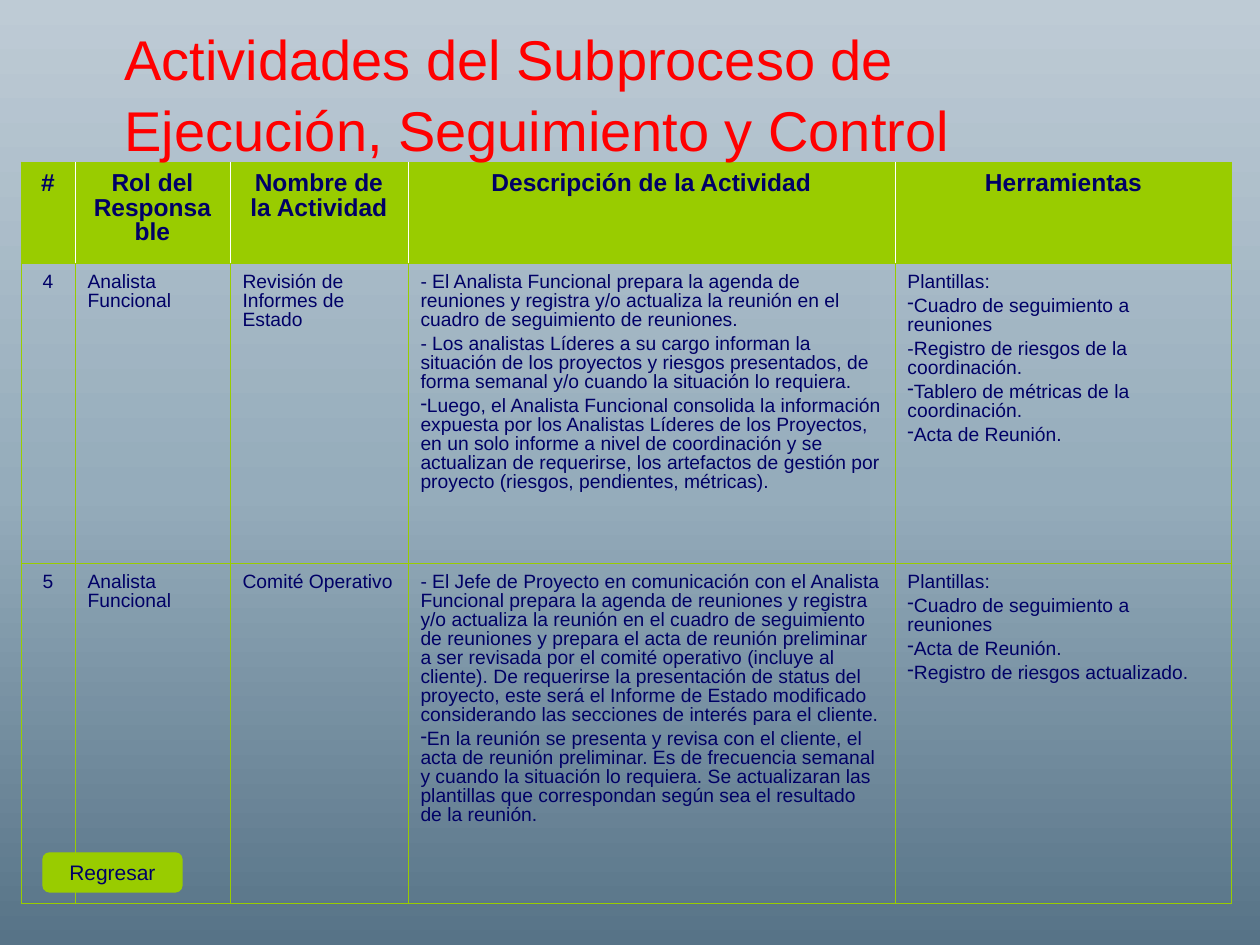
import copy

import pptx
import pptx.dml.color
import pptx.enum.shapes
import pptx.enum.text
import pptx.oxml
import pptx.oxml.ns
import pptx.util
from lxml import etree

SCALE = 914400 / 126
LIME, NAVY, RED, WHITE = "99CC00", "000066", "FF0000", "FFFFFF"
CENTER = pptx.enum.text.PP_ALIGN.CENTER
LEFT = pptx.enum.text.PP_ALIGN.LEFT


def px(n):
    return pptx.util.Emu(round(n * SCALE))


def rgb(code):
    return pptx.dml.color.RGBColor.from_string(code)


def add(parent, tag, **attrs):
    return etree.SubElement(parent, pptx.oxml.ns.qn(tag), attrs)


class Deck:
    face = "Arial"

    def __init__(self, wide, high):
        self.prs = pptx.Presentation()
        self.prs.slide_width, self.prs.slide_height = px(wide), px(high)
        self.slide = self.prs.slides.add_slide(self.prs.slide_layouts[6])

    def backdrop(self, stops):
        fill = self.slide.background.fill
        fill.gradient()
        fill.gradient_angle = 90
        first = fill.gradient_stops[0]._gs
        first.addnext(copy.deepcopy(first))
        for stop, (pos, code) in zip(fill.gradient_stops, stops):
            stop.position, stop.color.rgb = pos, rgb(code)

    def style(self, para, size, color, align=LEFT, bold=False):
        para.alignment = align
        font = para.font
        font.name, font.size, font.bold = self.face, pptx.util.Pt(size), bold
        font.color.rgb = rgb(color)

    def text(self, box, words, size, color):
        shape = self.slide.shapes.add_textbox(*map(px, box))
        shape.text_frame.word_wrap = True
        para = shape.text_frame.paragraphs[0]
        para.text, para.line_spacing = words, 1.06
        self.style(para, size, color)

    def button(self, box, words, size):
        kind = pptx.enum.shapes.MSO_SHAPE.FLOWCHART_ALTERNATE_PROCESS
        shape = self.slide.shapes.add_shape(kind, *map(px, box))
        shape.shadow.inherit = False
        shape.fill.solid()
        shape.fill.fore_color.rgb = shape.line.color.rgb = rgb(LIME)
        shape.line.width = pptx.util.Pt(0.75)
        frame = shape.text_frame
        frame.word_wrap = False
        frame.vertical_anchor = pptx.enum.text.MSO_ANCHOR.MIDDLE
        frame.paragraphs[0].text = words
        self.style(frame.paragraphs[0], size, NAVY, CENTER)

    def table(self, left, top, cols, rows, data):
        grid = self.slide.shapes.add_table(
            len(rows), len(cols), px(left), px(top),
            px(sum(cols)), px(sum(rows))).table
        grid.first_row = grid.horz_banding = False
        for col, wide in zip(grid.columns, cols):
            col.width = px(wide)
        for row, high in zip(grid.rows, rows):
            row.height = px(high)
        for r, line in enumerate(data):
            for c, items in enumerate(line):
                cell = grid.cell(r, c)
                self.cell(cell, items, r == 0, r == 0 or c == 0)
                inner = (WHITE, 0.34) if r == 0 else (LIME, 0.23)
                outer, rule = (LIME, 0.5), (LIME, 0.34)
                self.border(cell, {
                    "a:lnL": outer if c == 0 else inner,
                    "a:lnR": outer if c == len(cols) - 1 else inner,
                    "a:lnT": outer if r == 0 else rule,
                    "a:lnB": outer if r == len(rows) - 1 else rule})

    def cell(self, cell, items, head, center):
        cell.margin_top = px(10)
        if head:
            cell.fill.solid()
            cell.fill.fore_color.rgb = rgb(LIME)
        else:
            cell.fill.background()
        # A leading asterisk marks a dash bullet
        cell.text = "\n".join(item.lstrip("*") for item in items)
        for para, item in zip(cell.text_frame.paragraphs, items):
            para.line_spacing = 0.89
            para.space_before = pptx.util.Pt(3.5 if head else 2.8)
            self.style(para, 14 if head else 11, NAVY,
                       CENTER if center else LEFT, head)
            if item.startswith("*"):
                self.bullet(para)

    def bullet(self, para):
        props = para._p.get_or_add_pPr()
        props.set("marL", "0")
        props.set("indent", "0")
        color = pptx.oxml.ns.qn("a:buClr")
        marks = [etree.Element(color), etree.Element(pptx.oxml.ns.qn("a:buChar"), char="-")]
        add(marks[0], "a:srgbClr", val=NAVY)
        for mark in marks:
            props.find(pptx.oxml.ns.qn("a:defRPr")).addprevious(mark)

    def border(self, cell, sides):
        props = cell._tc.get_or_add_tcPr()
        for spot, (tag, (color, width)) in enumerate(sides.items()):
            line = add(props, tag, w=str(round(width * 12700)))
            add(add(line, "a:solidFill"), "a:srgbClr", val=color)
            props.insert(spot, line)


HEADS = ["#", "Rol del Responsable", "Nombre de la Actividad",
         "Descripción de la Actividad", "Herramientas"]
ROLE = ["Analista Funcional"]
TOOLS = ["Plantillas:", "*Cuadro de seguimiento a reuniones"]
MINUTES = "*Acta de Reunión."
REVIEW = [
    "- El Analista Funcional prepara la agenda de reuniones y registra y/o "
    "actualiza la reunión en el cuadro de seguimiento de reuniones.",
    "- Los analistas Líderes a su cargo informan la situación de los proyectos "
    "y riesgos presentados, de forma semanal y/o cuando la situación lo requiera.",
    "*Luego, el Analista Funcional consolida la información expuesta por los "
    "Analistas Líderes de los Proyectos, en un solo informe a nivel de "
    "coordinación y se actualizan de requerirse, los artefactos de gestión por "
    "proyecto (riesgos, pendientes, métricas).",
]
BOARD = [
    "- El Jefe de Proyecto en comunicación con el Analista Funcional prepara la "
    "agenda de reuniones y registra y/o actualiza la reunión en el cuadro de "
    "seguimiento de reuniones y prepara el acta de reunión preliminar a ser "
    "revisada por el comité operativo (incluye al cliente). De requerirse la "
    "presentación de status del proyecto, este será el Informe de Estado "
    "modificado considerando las secciones de interés para el cliente.",
    "*En la reunión se presenta y revisa con el cliente, el acta de reunión "
    "preliminar. Es de frecuencia semanal y cuando la situación lo requiera. Se "
    "actualizaran las plantillas que correspondan según sea el resultado de la "
    "reunión.",
]
DATA = [
    [[head] for head in HEADS],
    [["4"], ROLE, ["Revisión de Informes de Estado"], REVIEW,
     TOOLS + ["-Registro de riesgos de la coordinación.",
              "*Tablero de métricas de la coordinación.", MINUTES]],
    [["5"], ROLE, ["Comité Operativo"], BOARD,
     TOOLS + [MINUTES, "*Registro de riesgos actualizado."]],
]


def main():
    deck = Deck(1260, 945)
    deck.backdrop([(0, "577387"), (0.48, "95ACBB"), (1, "BECBD5")])

    # Activity table
    deck.table(21, 162, [54, 155, 178, 487, 337], [101, 300, 340], DATA)

    # Title
    deck.text((112, 14, 1052, 149),
              "Actividades del Subproceso de Ejecución, Seguimiento y Control",
              32, RED)

    # Back button
    deck.button((43, 853, 139, 39), "Regresar", 12)
    deck.prs.save("out.pptx")


if __name__ == "__main__":
    main()
